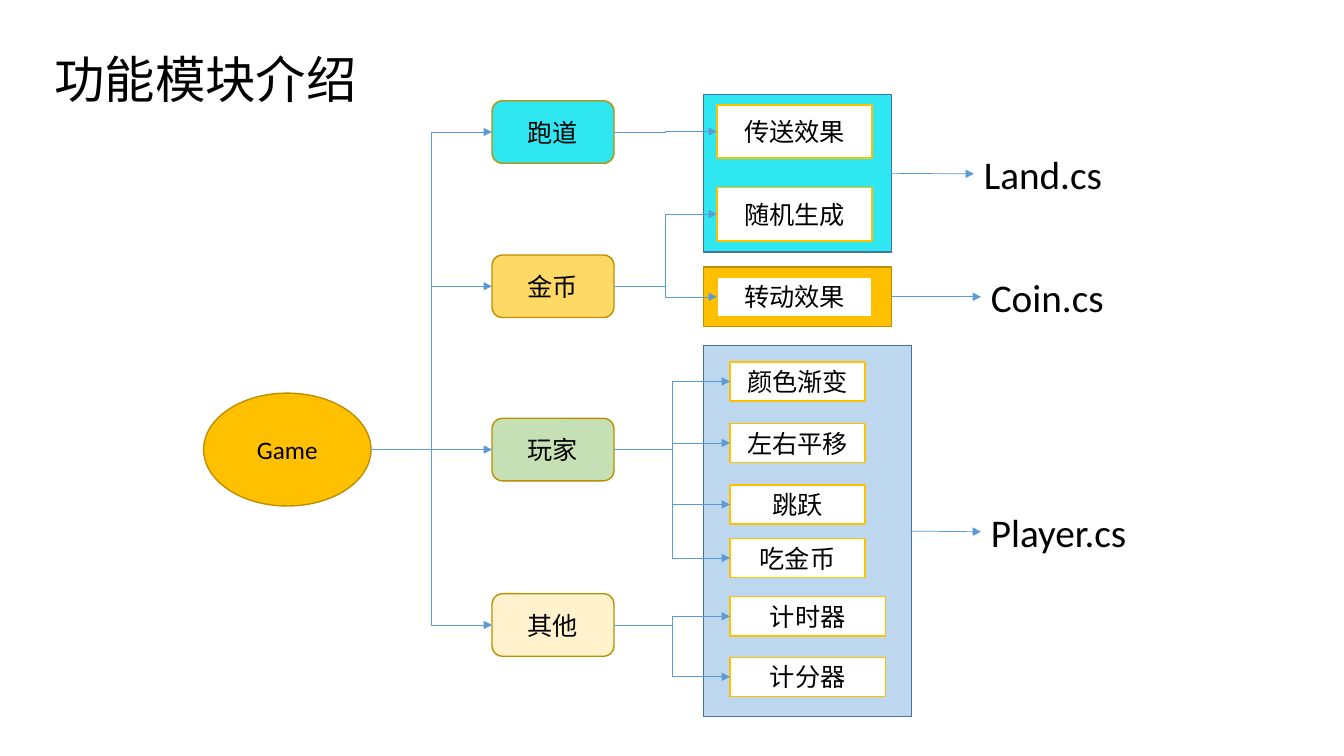
"""Build a slide that maps a game's modules to features and script files."""
from lxml.etree import SubElement
from pptx import Presentation
from pptx.dml.color import RGBColor
from pptx.enum.shapes import MSO_CONNECTOR, MSO_SHAPE
from pptx.enum.text import MSO_ANCHOR, MSO_AUTO_SIZE, PP_ALIGN
from pptx.oxml.ns import qn
from pptx.util import Inches, Pt

LEFT_SITE, RIGHT_SITE = 1, 3


def rgb(value):
    return RGBColor.from_string(value)


class Diagram:
    font, text_color, arrow_color = "Calibri", "000000", "5B9BD5"

    def __init__(self, slide):
        self.slide = slide

    def set_text(self, tf, text, size):
        p = tf.paragraphs[0]
        p.text = text
        p.font.name = self.font
        p.font.size = Pt(size)
        p.font.color.rgb = rgb(self.text_color)
        return p

    def box(self, kind, at, fill, line, text=""):
        sp = self.slide.shapes.add_shape(kind, *map(Inches, at))
        sp.shadow.inherit = False
        sp.fill.solid()
        sp.fill.fore_color.rgb = rgb(fill)
        sp.line.color.rgb = rgb(line)
        sp.line.width = Pt(1)
        if text:
            sp.text_frame.vertical_anchor = MSO_ANCHOR.MIDDLE
            self.set_text(sp.text_frame, text, 18).alignment = PP_ALIGN.CENTER
        return sp

    def label(self, at, text, size):
        sp = self.slide.shapes.add_textbox(*map(Inches, at))
        sp.text_frame.word_wrap = False
        sp.text_frame.auto_size = MSO_AUTO_SIZE.SHAPE_TO_FIT_TEXT
        self.set_text(sp.text_frame, text, size)
        return sp

    def arrow(self, start, end, kind=MSO_CONNECTOR.ELBOW):
        x, y = start.left + start.width, start.top + start.height // 2
        cxn = self.slide.shapes.add_connector(kind, x, y, end.left, end.top + end.height // 2)
        if start.auto_shape_type != MSO_SHAPE.OVAL:
            cxn.begin_connect(start, RIGHT_SITE)
        cxn.end_connect(end, LEFT_SITE)
        cxn.line.color.rgb = rgb(self.arrow_color)
        cxn.line.width = Pt(0.5)
        props = cxn._element.spPr
        SubElement(props.find(qn("a:ln")), qn("a:tailEnd"), type="triangle")
        SubElement(props, qn("a:effectLst"))


def main():
    prs = Presentation()
    prs.slide_width, prs.slide_height = Inches(13.33), Inches(7.5)
    d = Diagram(prs.slides.add_slide(prs.slide_layouts[6]))

    files = [
        ((6.98, 3.43, 2.06, 3.68), "BDD7EE", "43739E", "Player.cs", (9.73, 4.99, 1.56, 0.57)),
        ((6.98, 0.94, 1.86, 1.56), "2EE7F0", "43739E", "Land.cs", (9.66, 1.44, 1.39, 0.57)),
        ((6.98, 2.65, 1.86, 0.59), "FFC000", "BD8E00", "Coin.cs", (9.73, 2.66, 1.33, 0.57)),
    ]
    for panel_at, fill, line, name, name_at in files:
        panel = d.box(MSO_SHAPE.RECTANGLE, panel_at, fill, line)
        d.arrow(panel, d.label(name_at, name, 28), MSO_CONNECTOR.STRAIGHT)

    d.label((0.44, 0.43, 3.23, 0.71), "功能模块介绍", 36)
    game = d.box(MSO_SHAPE.OVAL, (2.02, 3.9, 1.66, 1.12), "FFC000", "BD8E00", "Game")

    modules = [
        ("跑道", 1, "2EE7F0", [("传送效果", 7.11, 1.04, 1.54, 0.53)]),
        ("金币", 2.53, "FFD966", [("随机生成", 7.11, 1.86, 1.54, 0.53),
                                ("转动效果", 7.11, 2.75, 1.54, 0.39)]),
        ("玩家", 4.15, "C5E0B4", [("颜色渐变", 7.24, 3.59, 1.34, 0.39),
                                ("左右平移", 7.24, 4.2, 1.34, 0.39),
                                ("跳跃", 7.24, 4.81, 1.34, 0.39),
                                ("吃金币", 7.24, 5.34, 1.34, 0.39)]),
        ("其他", 5.89, "FFF2CC", [("计时器", 7.24, 5.92, 1.54, 0.39),
                                ("计分器", 7.24, 6.52, 1.54, 0.39)]),
    ]
    for name, top, fill, features in modules:
        module = d.box(MSO_SHAPE.ROUNDED_RECTANGLE, (4.88, top, 1.21, 0.62), fill, "BD8E00", name)
        d.arrow(game, module)
        for text, *at in features:
            d.arrow(module, d.box(MSO_SHAPE.RECTANGLE, at, "FFFFFF", "FFC000", text))

    prs.save("out.pptx")


if __name__ == "__main__":
    main()
